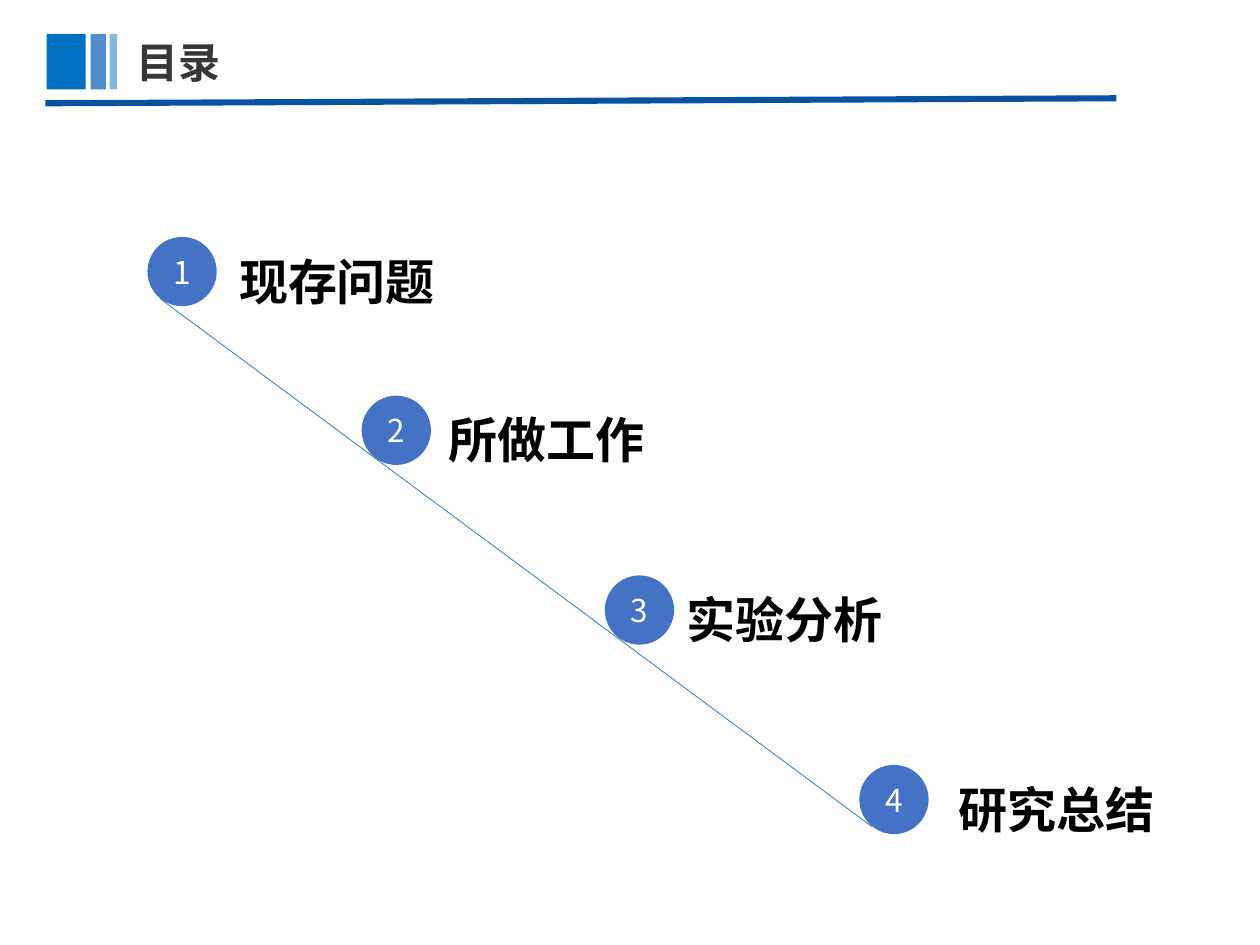
from dataclasses import dataclass

from lxml import etree
from pptx import Presentation
from pptx.dml.color import RGBColor
from pptx.enum.shapes import MSO_CONNECTOR, MSO_SHAPE
from pptx.enum.text import MSO_ANCHOR, MSO_AUTO_SIZE, PP_ALIGN
from pptx.oxml.ns import qn
from pptx.util import Pt

RECT, OVAL = MSO_SHAPE.RECTANGLE, MSO_SHAPE.OVAL
STRAIGHT = MSO_CONNECTOR.STRAIGHT
TOP, MIDDLE = MSO_ANCHOR.TOP, MSO_ANCHOR.MIDDLE
LEFT, CENTER = PP_ALIGN.LEFT, PP_ALIGN.CENTER
GROW = MSO_AUTO_SIZE.SHAPE_TO_FIT_TEXT
FACE = "Noto Sans CJK SC"
DOT = 39.6
RISE = 12.24


@dataclass
class Bar:
    left: float
    width: float
    color: str
    alpha: int


@dataclass
class Step:
    left: float
    top: float
    label: str
    start: float
    width: float
    wrap: bool


@dataclass
class Rule:
    begin: tuple[float, float]
    end: tuple[float, float]
    color: str
    weight: float


BARS = [
    Bar(26.64, 22.32, "0070C0", 100),
    Bar(51.84, 8.64, "065CBA", 70),
    Bar(62.64, 4.32, "0070C0", 48),
]
STEPS = [
    Step(84.24, 135.36, "现存问题", 129.6, 206.64, True),
    Step(206.64, 226.08, "所做工作", 249.12, 127.44, False),
    Step(345.6, 328.8, "实验分析", 385.2, 127.44, False),
    Step(491.04, 437.04, "研究总结", 540.72, 127.44, False),
]
HEAD = Rule((25.92, 59.04), (637.92, 56.16), "0852A4", 3.5)
SLOPE = Rule((91.44, 170.64), (498.24, 472.32), "418AB3", 0.5)

HEADING = {"size": Pt(24), "bold": True}
LABEL = {"size": Pt(28), "bold": True}
NUMBER = {"size": Pt(18), "bold": False}


def tint(text: str) -> RGBColor:
    return RGBColor.from_string(text)


def write(shape, text: str, style: dict, color: str, frame: dict, para: dict) -> None:
    body = shape.text_frame
    line = body.paragraphs[0]
    run = line.add_run()
    run.text = text
    for target, values in ((body, frame), (line, para), (run.font, style)):
        for name, value in values.items():
            setattr(target, name, value)
    run.font.color.rgb = tint(color)
    run.font.name = FACE
    etree.SubElement(run.font._element, qn("a:ea"), typeface=FACE)


def draw(slide, kind, box: tuple, color: str, alpha: int = 100):
    shape = slide.shapes.add_shape(kind, *map(Pt, box))
    shape.shadow.inherit = False
    shape.fill.solid()
    shape.fill.fore_color.rgb = tint(color)
    shape.line.fill.background()
    if alpha < 100:
        fill = shape._element.spPr.find(".//" + qn("a:srgbClr"))
        etree.SubElement(fill, qn("a:alpha"), val=str(alpha * 1000))
    return shape


def stroke(slide, rule: Rule) -> None:
    line = slide.shapes.add_connector(STRAIGHT, *map(Pt, rule.begin + rule.end))
    line.line.color.rgb = tint(rule.color)
    line.line.width = Pt(rule.weight)
    etree.SubElement(line._element.spPr, qn("a:effectLst"))


def place(slide, text: str) -> None:
    title = slide.shapes.title
    box = {"left": 70.56, "top": 17.28, "width": 241.92, "height": 36}
    for name, value in box.items():
        setattr(title, name, Pt(value))
    frame = {"word_wrap": True, "auto_size": GROW, "vertical_anchor": TOP}
    write(title, text, HEADING, "373737", frame, {"alignment": LEFT})


def mark(slide, order: int, step: Step) -> None:
    dot = draw(slide, OVAL, (step.left, step.top, DOT, DOT), "4472C4")
    frame = {"word_wrap": True, "vertical_anchor": MIDDLE}
    write(dot, str(order), NUMBER, "FFFFFF", frame, {"alignment": CENTER})
    box = (step.start, step.top - RISE, step.width, 51.84)
    label = slide.shapes.add_textbox(*map(Pt, box))
    frame = {"word_wrap": step.wrap, "auto_size": GROW, "vertical_anchor": TOP}
    para = {"alignment": LEFT, "line_spacing": 1.5}
    write(label, step.label, LABEL, "000000", frame, para)


def main() -> None:
    deck = Presentation()
    deck.slide_width, deck.slide_height = Pt(720), Pt(540)
    slide = deck.slides.add_slide(deck.slide_layouts[5])
    stroke(slide, HEAD)
    for bar in BARS:
        draw(slide, RECT, (bar.left, 19.44, bar.width, 31.68), bar.color, bar.alpha)
    place(slide, "目录")
    for order, step in enumerate(STEPS, 1):
        mark(slide, order, step)
    stroke(slide, SLOPE)
    deck.save("out.pptx")


if __name__ == "__main__":
    main()
